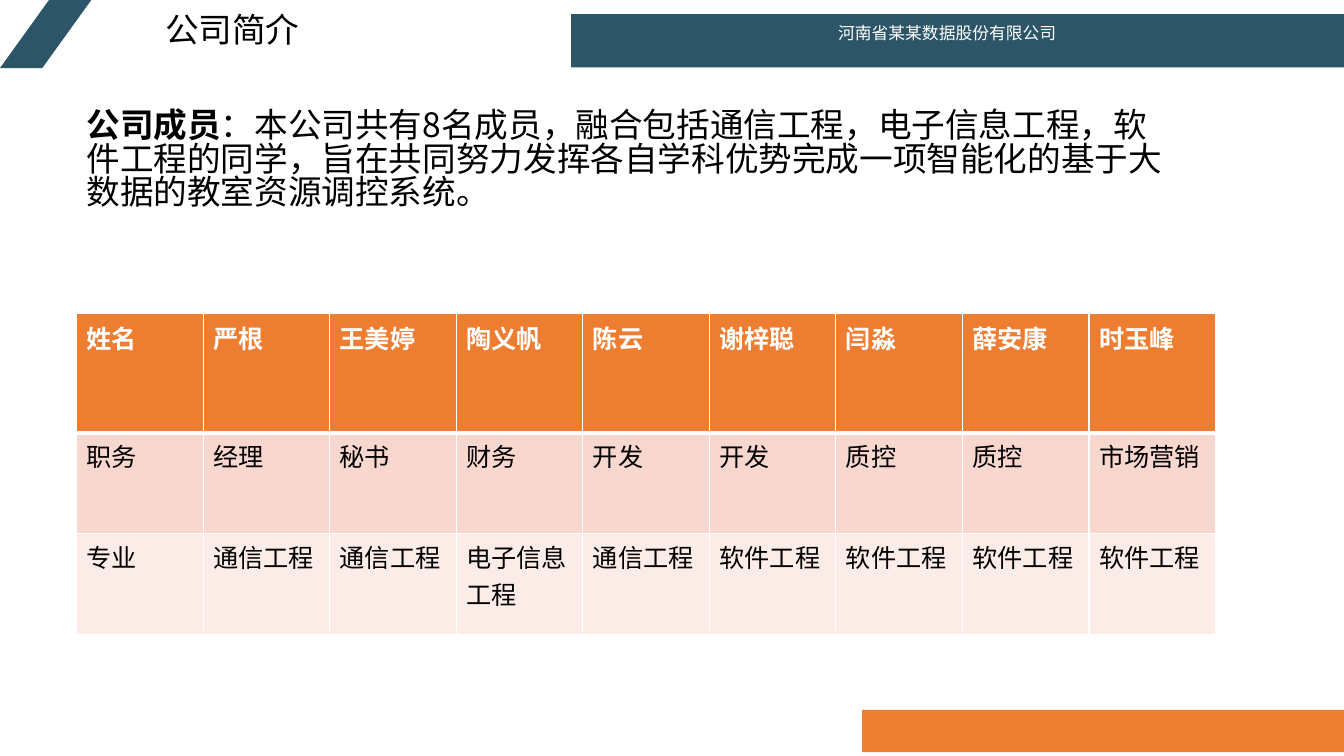
from dataclasses import dataclass

import pptx
import pptx.dml.color
import pptx.enum.shapes
import pptx.enum.text
import pptx.oxml
import pptx.oxml.ns
import pptx.util


@dataclass(frozen=True)
class Theme:
    font: str = "Noto Sans CJK SC"
    teal: str = "2C5568"
    orange: str = "ED7D31"
    salmon: str = "F8D7CE"
    blush: str = "FCECE8"
    white: str = "FFFFFF"
    black: str = "000000"
    heading: int = 24
    cell: int = 18
    label: int = 12
    tight: float = 0.83


@dataclass(frozen=True)
class Box:
    left: float
    top: float
    width: float
    height: float

    def inner(self, left, top, width, height):
        """Return a box inside this one, given in percent of its size."""
        return Box(
            self.left + self.width * left / 100,
            self.top + self.height * top / 100,
            self.width * width / 100,
            self.height * height / 100,
        )

    def emu(self):
        sides = (self.left, self.top, self.width, self.height)
        return [pptx.util.Inches(side) for side in sides]


THEME = Theme()
PAGE = Box(0, 0, 13.33, 7.5)
SHAPES = pptx.enum.shapes.MSO_SHAPE
ALIGN = pptx.enum.text.PP_ALIGN

MEMBERS = [
    ("姓名", "职务", "专业"),
    ("严根", "经理", "通信工程"),
    ("王美婷", "秘书", "通信工程"),
    ("陶义帆", "财务", "电子信息工程"),
    ("陈云", "开发", "通信工程"),
    ("谢梓聪", "开发", "软件工程"),
    ("闫淼", "质控", "软件工程"),
    ("薛安康", "质控", "软件工程"),
    ("时玉峰", "市场营销", "软件工程"),
]
ROW_SHARES = (1.18, 1, 1)
BORDER_SIDES = ("L", "R", "T", "B")


def rgb(colour):
    return pptx.dml.color.RGBColor.from_string(colour)


def add_run(paragraph, words, size, colour, bold=False):
    run = paragraph.add_run()
    run.text = words
    run.font.name = THEME.font
    run.font.size = pptx.util.Pt(size)
    run.font.bold = bold
    run.font.color.rgb = rgb(colour)
    east_asian = pptx.oxml.parse_xml(
        f'<a:ea {pptx.oxml.ns.nsdecls("a")} typeface="{THEME.font}"/>'
    )
    run.font._element.find(pptx.oxml.ns.qn("a:latin")).addnext(east_asian)


def add_block(slide, box, preset, colour):
    block = slide.shapes.add_shape(preset, *box.emu())
    block.shadow.inherit = False
    block.fill.solid()
    block.fill.fore_color.rgb = rgb(colour)
    block.line.fill.background()
    return block


def add_text(slide, box, runs, size, colour, align=ALIGN.LEFT):
    """Place one paragraph; runs are pairs of words and boldness."""
    frame = slide.shapes.add_textbox(*box.emu()).text_frame
    frame.word_wrap = True
    paragraph = frame.paragraphs[0]
    paragraph.alignment = align
    paragraph.line_spacing = THEME.tight
    for words, bold in runs:
        add_run(paragraph, words, size, colour, bold)


def add_header(slide, box):
    band = box.inner(42.5, 20.74, 57.5, 78.52)
    add_block(slide, band, SHAPES.RECTANGLE, THEME.teal)
    add_text(slide, band.inner(33.25, 13.2, 33.4, 56.6),
             [("河南省某某数据股份有限公司", False)],
             THEME.label, THEME.white, ALIGN.JUSTIFY)
    add_text(slide, box.inner(11.55, 16.3, 33.45, 74),
             [("公司简介", False)], THEME.heading, THEME.black)
    stripe = add_block(slide, box.inner(0, -1, 6.83, 101),
                       SHAPES.PARALLELOGRAM, THEME.teal)
    stripe.adjustments[0] = 0.72


def add_introduction(slide, box):
    add_text(slide, box, [
        ("公司成员", True),
        ("：本公司共有8名成员，融合包括通信工程，电子信息工程，软件工程的同学，"
         "旨在共同努力发挥各自学科优势完成一项智能化的基于大数据的教室资源调控系统。",
         False),
    ], THEME.heading, THEME.black)


def set_borders(cell, widths):
    """Draw white borders, with widths in points by side; fill comes after."""
    properties = cell._tc.get_or_add_tcPr()
    for side in BORDER_SIDES:
        properties.append(pptx.oxml.parse_xml(
            f'<a:ln{side} {pptx.oxml.ns.nsdecls("a")} '
            f'w="{pptx.util.Pt(widths[side])}"><a:solidFill>'
            f'<a:srgbClr val="{THEME.white}"/></a:solidFill></a:ln{side}>'
        ))


def add_member_table(slide, box):
    table = slide.shapes.add_table(
        len(ROW_SHARES), len(MEMBERS), *box.emu()).table
    for column in table.columns:
        column.width = pptx.util.Inches(box.width / len(MEMBERS))
    for row, share in zip(table.rows, ROW_SHARES):
        row.height = pptx.util.Inches(box.height * share / sum(ROW_SHARES))

    fills = (THEME.orange, THEME.salmon, THEME.blush)
    for column_index, member in enumerate(MEMBERS):
        for row_index, words in enumerate(member):
            is_head = row_index == 0
            cell = table.cell(row_index, column_index)
            widths = dict.fromkeys(BORDER_SIDES, 1)
            if is_head:
                widths["B"] = 3
            elif row_index == 1:
                widths["T"] = 3
            set_borders(cell, widths)
            cell.fill.solid()
            cell.fill.fore_color.rgb = rgb(fills[row_index])
            add_run(cell.text_frame.paragraphs[0], words, THEME.cell,
                    THEME.white if is_head else THEME.black, is_head)


def add_footer(slide, box):
    add_block(slide, box, SHAPES.RECTANGLE, THEME.orange)


def main():
    deck = pptx.Presentation()
    deck.slide_width = pptx.util.Inches(PAGE.width)
    deck.slide_height = pptx.util.Inches(PAGE.height)
    slide = deck.slides.add_slide(deck.slide_layouts[6])
    add_header(slide, PAGE.inner(0, 0, 100, 9))
    add_introduction(slide, PAGE.inner(5.7, 14, 82.75, 17.5))
    add_member_table(slide, PAGE.inner(5.7, 41.5, 84.75, 42.4))
    add_footer(slide, PAGE.inner(64.15, 93.9, 35.85, 5.6))
    deck.save("out.pptx")


if __name__ == "__main__":
    main()
